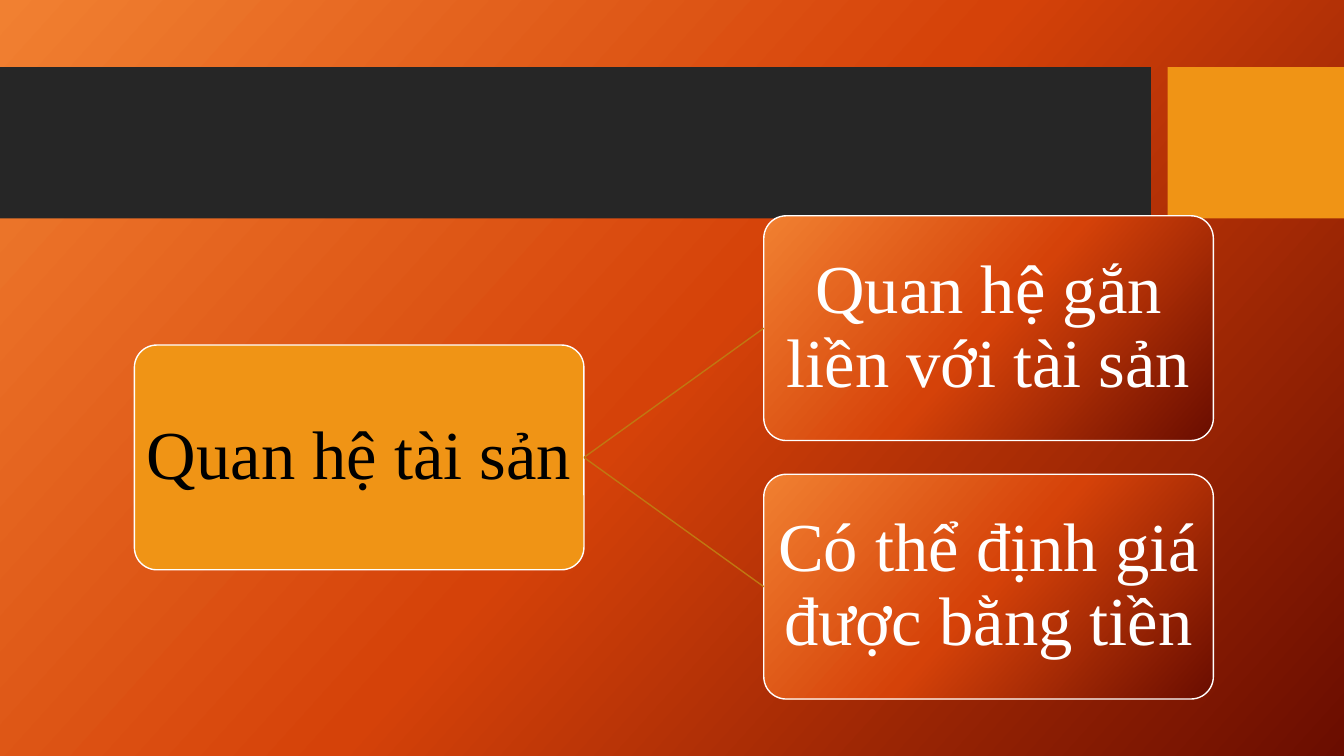
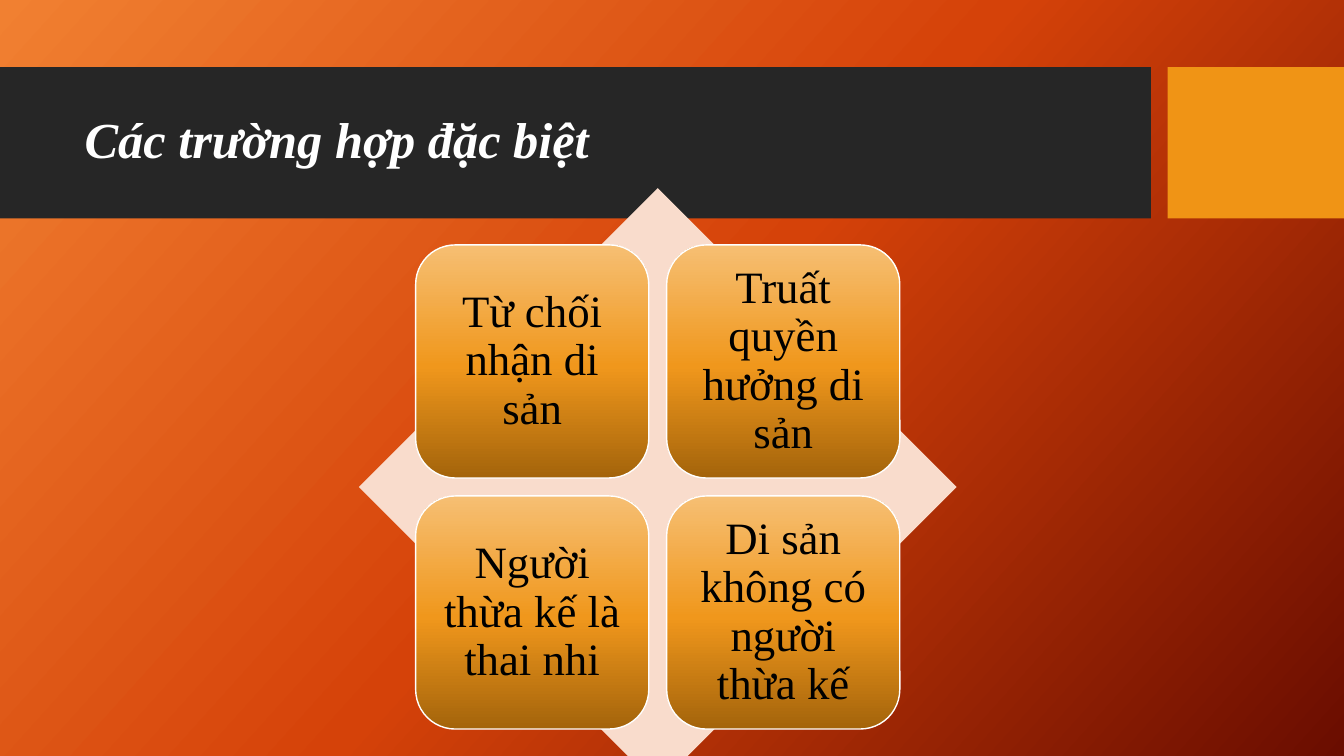
from copy import deepcopy
from itertools import product

from pptx import Presentation
from pptx.dml.color import RGBColor
from pptx.enum.shapes import MSO_CONNECTOR as CONN, MSO_SHAPE as SHAPE
from pptx.enum.text import MSO_ANCHOR as ANCHOR, MSO_AUTO_SIZE as AUTO, PP_ALIGN as ALIGN
from pptx.oxml.ns import qn
from pptx.oxml.xmlchemy import OxmlElement
from pptx.util import Inches, Pt

COLS, ROWS = 80, 45
TITLE_ONLY, BLANK = 5, 6


def rgb(color):
    return RGBColor.from_string(color)


class Deck:
    """Style of the deck and drawing on its current slide, in grid columns and rows."""

    FONT = "Times New Roman"
    WHITE, BLACK, DARK, AMBER = "FFFFFF", "000000", "262626", "F09415"
    PALE, BRONZE = "F9DCCC", "C07711"
    EMBER = ([(0, "F18031"), (0.5, "D54209"), (1, "6A0D00")], 42)
    HONEY = ([(0, "A4640B"), (0.48, "F0971C"), (1, "F6BF73")], 270)

    def __init__(self):
        self.prs = Presentation()
        self.prs.slide_width, self.prs.slide_height = Inches(13.33), Inches(7.5)
        master = self.prs.slide_master
        self.paint(master.background.fill, master._element, self.EMBER)

    def box(self, x, y, w, h):
        cw, rh = self.prs.slide_width / COLS, self.prs.slide_height / ROWS
        return [round(v) for v in (x * cw, y * rh, w * cw, h * rh)]

    def paint(self, fill, owner, color):
        if isinstance(color, str):
            fill.solid()
            fill.fore_color.rgb = rgb(color)
            return
        stops, angle = color
        fill.gradient()
        fill.gradient_angle = 360 - angle
        gs_list = next(owner.iter(qn("a:gsLst")))
        gs_list.insert(1, deepcopy(gs_list[0]))
        for stop, (position, shade) in zip(fill.gradient_stops, stops):
            stop.position = position
            stop.color.rgb = rgb(shade)

    def slide(self, title=None):
        layout = TITLE_ONLY if title else BLANK
        self.s = self.prs.slides.add_slide(self.prs.slide_layouts[layout])
        self.shape(SHAPE.RECTANGLE, (0, 4, 68.5, 9), self.DARK)
        self.shape(SHAPE.RECTANGLE, (69.5, 4, 10.5, 9), self.AMBER)
        if title:
            self.title(title)

    def title(self, text):
        sp = self.s.shapes.title
        self.s.shapes._spTree.append(sp._element)
        sp.left, sp.top, sp.width, sp.height = self.box(4.44, 4.92, 63.06, 7.08)
        font = self.text(sp, text, 36, self.WHITE, ALIGN.LEFT).font
        font.bold = font.italic = True

    def shape(self, kind, place, color, line=None):
        sp = self.s.shapes.add_shape(kind, *self.box(*place))
        sp.shadow.inherit = False
        self.paint(sp.fill, sp._element, color)
        if line:
            sp.line.color.rgb = rgb(line)
            sp.line.width = Pt(1)
        else:
            sp.line.fill.background()
        return sp

    def text(self, sp, words, size, color, align=ALIGN.CENTER):
        tf = sp.text_frame
        tf.word_wrap, tf.auto_size = True, AUTO.NONE
        tf.vertical_anchor = ANCHOR.MIDDLE
        p = tf.paragraphs[0]
        p.alignment, p.line_spacing = align, 0.9
        r = p.add_run()
        r.text = words
        r.font.name, r.font.size = self.FONT, Pt(size)
        r.font.color.rgb = rgb(color)
        return r

    def card(self, place, words, fill, size, color, inset, corner):
        sp = self.shape(SHAPE.ROUNDED_RECTANGLE, place, fill, self.WHITE)
        sp.adjustments[0] = corner
        tf = sp.text_frame
        tf.margin_left = tf.margin_right = tf.margin_top = tf.margin_bottom = Inches(inset)
        self.text(sp, words, size, color)
        return sp

    def link(self, start, end):
        line = self.s.shapes.add_connector(CONN.STRAIGHT, 0, 0, 0, 0)
        line.begin_connect(start, 3)
        line.end_connect(end, 1)
        line.line.color.rgb = rgb(self.BRONZE)
        line.line.width = Pt(1)
        line._element.spPr.append(OxmlElement("a:effectLst"))

    def tree(self, x, y, w, root, children):
        h = w / 2
        style = {"size": 49, "inset": 0.03, "corner": 0.1}
        parent = self.card((x, y, w, h), root, self.AMBER, color=self.BLACK, **style)
        for i, words in enumerate(children):
            top = y + (i - (len(children) - 1) / 2) * 1.15 * h
            child = self.card((x + 1.4 * w, top, w, h), words, self.EMBER,
                              color=self.WHITE, **style)
            self.link(parent, child)

    def matrix(self, x, y, side, labels):
        self.shape(SHAPE.DIAMOND, (x, y, side, side), self.PALE)
        tile, pitch, edge = 0.39 * side, 0.42 * side, 0.095 * side
        for (row, col), words in zip(product(range(2), repeat=2), labels):
            place = (x + edge + col * pitch, y + edge + row * pitch, tile, tile)
            self.card(place, words, self.HONEY, 32, self.BLACK, 0.13, 0.17)


def main():
    deck = Deck()
    deck.slide()
    deck.tree(8, 20.54, 26.76, "Quan hệ tài sản",
              ["Quan hệ gắn liền với tài sản", "Có thể định giá được bằng tiền"])
    deck.slide("Các trường hợp đặc biệt")
    deck.matrix(21.36, 11.2, 35.58,
                ["Từ chối nhận di sản", "Truất quyền hưởng di sản",
                 "Người thừa kế là thai nhi", "Di sản không có người thừa kế"])
    deck.prs.save("out.pptx")


if __name__ == "__main__":
    main()
